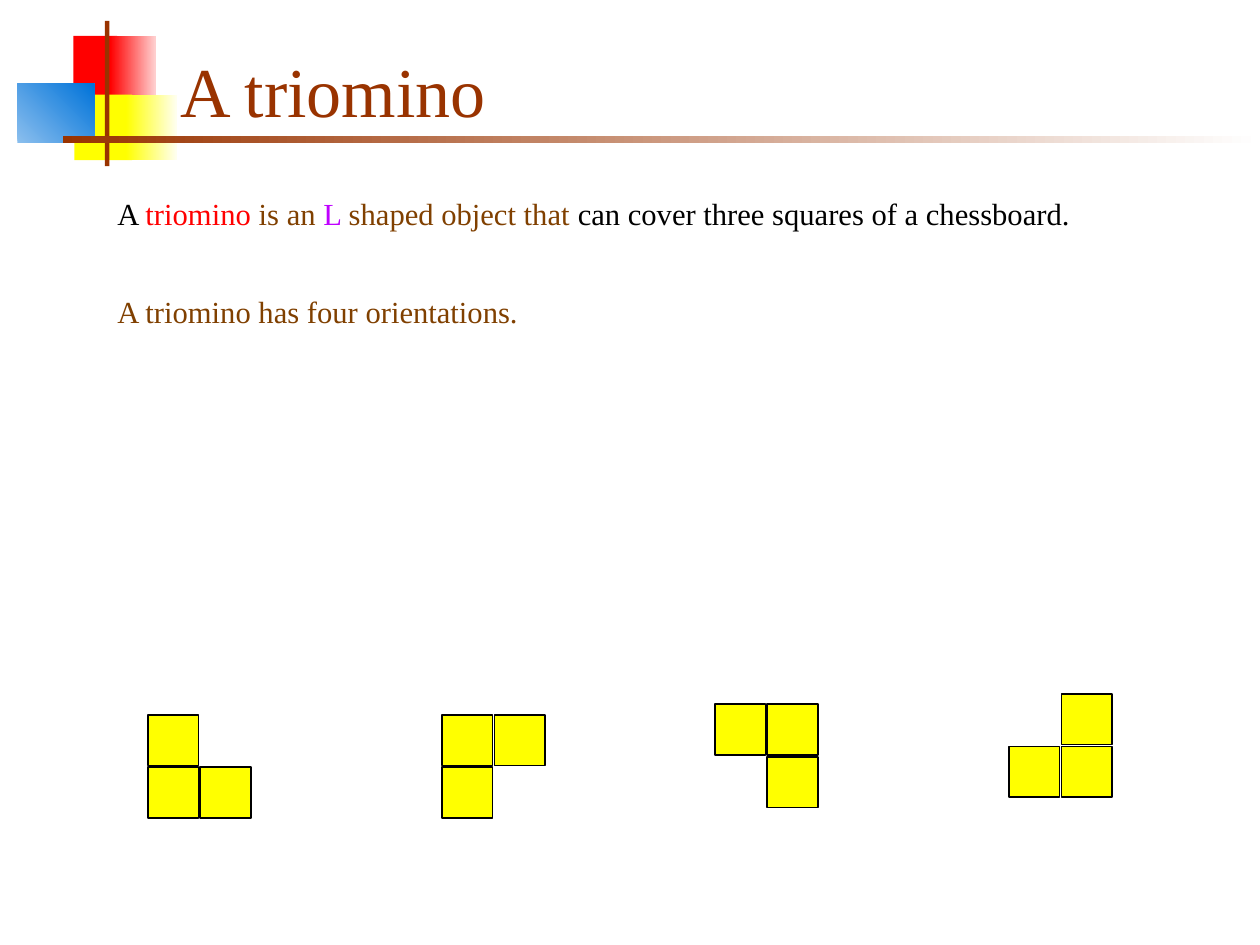
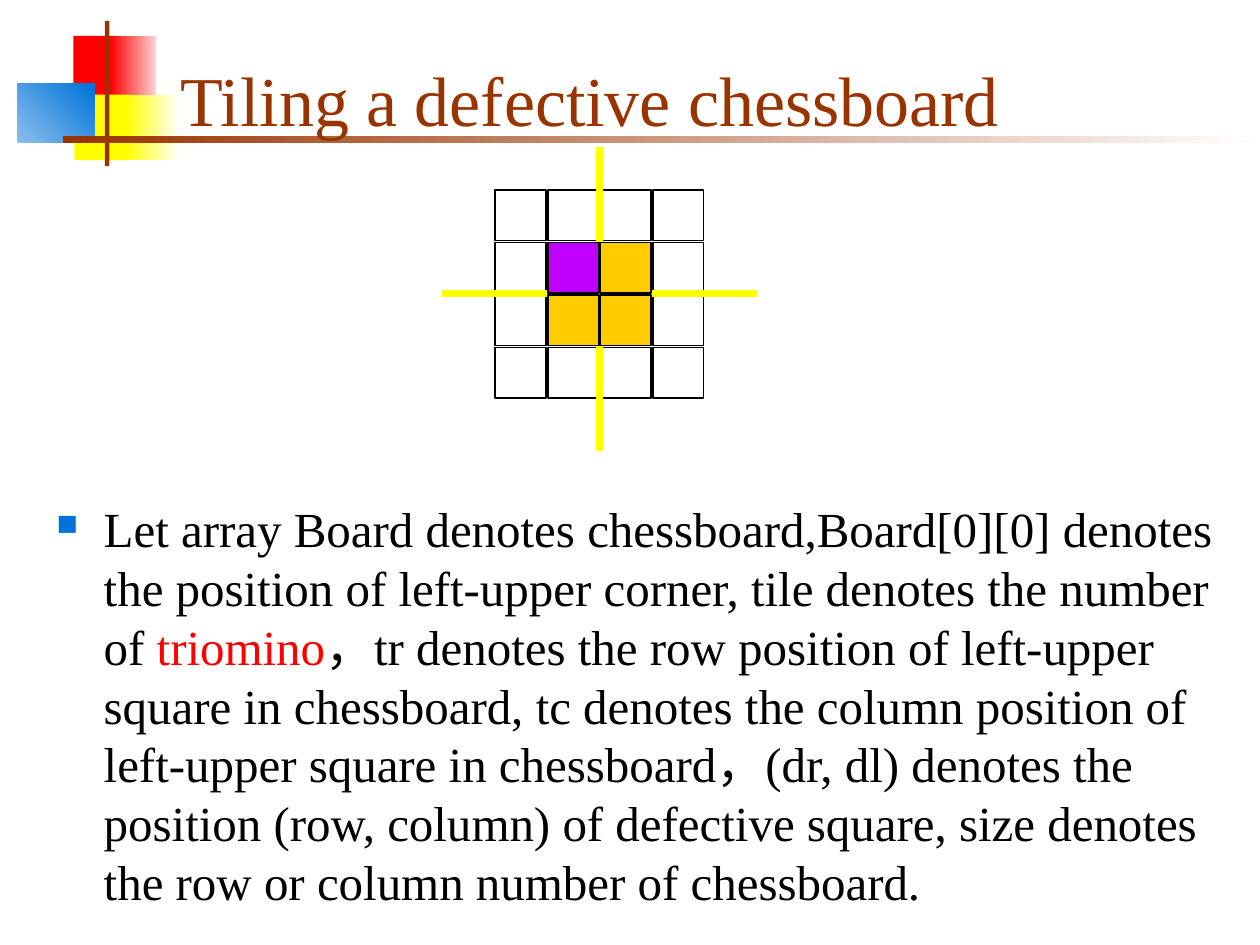
from lxml.etree import SubElement
from pptx import Presentation
from pptx.dml.color import RGBColor
from pptx.enum.shapes import MSO_CONNECTOR, MSO_SHAPE
from pptx.enum.text import MSO_ANCHOR, MSO_AUTO_SIZE, PP_ALIGN
from pptx.oxml.ns import qn
from pptx.util import Pt

FONT = "Times New Roman"
BLACK = RGBColor(0x00, 0x00, 0x00)
WHITE = RGBColor(0xFF, 0xFF, 0xFF)
RED = RGBColor(0xFF, 0x00, 0x00)
PALE_RED = RGBColor(0xFF, 0xD1, 0xD1)
YELLOW = RGBColor(0xFF, 0xFF, 0x00)
PALE_YELLOW = RGBColor(0xFF, 0xFF, 0xF0)
BLUE = RGBColor(0x00, 0x73, 0xD9)
PALE_BLUE = RGBColor(0x8B, 0xBF, 0xEE)
RUST = RGBColor(0x99, 0x33, 0x00)
BROWN = RGBColor(0x80, 0x40, 0x00)
PURPLE = RGBColor(0xBF, 0x00, 0xFF)
GOLD = RGBColor(0xFF, 0xCC, 0x00)

LINE_HEIGHT = 1.2  # line pitch as a multiple of the font size
SQUARE = 29
PITCH = 30


def add_rect(shapes, box, fill, fade_to=None, angle=0, outline=None):
    rect = shapes.add_shape(MSO_SHAPE.RECTANGLE, *map(Pt, box))
    rect.shadow.inherit = False
    if fade_to is None:
        rect.fill.solid()
        rect.fill.fore_color.rgb = fill
    else:
        rect.fill.gradient()
        rect.fill.gradient_angle = angle
        for stop, color in zip(rect.fill.gradient_stops, (fill, fade_to)):
            stop.color.rgb = color
    if outline is None:
        rect.line.fill.background()
    else:
        rect.line.color.rgb = outline
        rect.line.width = Pt(1)
    return rect


def add_line(shapes, start, end, color, width):
    line = shapes.add_connector(MSO_CONNECTOR.STRAIGHT, *map(Pt, start + end))
    line.line.color.rgb = color
    line.line.width = Pt(width)
    SubElement(line.element.spPr, qn("a:effectLst"))


def add_bullet(paragraph, color, indent, percent):
    properties = paragraph._p.get_or_add_pPr()
    properties.set("marL", str(Pt(indent)))
    properties.set("indent", str(-Pt(indent)))
    bullet_color = SubElement(properties, qn("a:buClr"))
    SubElement(bullet_color, qn("a:srgbClr"), val=str(color))
    SubElement(properties, qn("a:buSzPct"), val=str(percent * 1000))
    SubElement(properties, qn("a:buChar"), char="■")


def write(holder, box, paragraphs, size, anchor=MSO_ANCHOR.TOP, gap=0, bullet=None):
    """Place holder at box and fill it; a paragraph is a list of (text, color)."""
    holder.left, holder.top, holder.width, holder.height = map(Pt, box)
    frame = holder.text_frame
    frame.word_wrap = True
    frame.auto_size = MSO_AUTO_SIZE.NONE
    frame.vertical_anchor = anchor
    for index, runs in enumerate(paragraphs):
        paragraph = frame.add_paragraph() if index else frame.paragraphs[0]
        if bullet:
            add_bullet(paragraph, **bullet)
        paragraph.alignment = PP_ALIGN.LEFT
        paragraph.line_spacing = Pt(size * LINE_HEIGHT)
        paragraph.space_before = Pt(gap if index else 0)
        for text, color in runs:
            run = paragraph.add_run()
            run.text = text
            run.font.name = FONT
            run.font.size = Pt(size)
            run.font.color.rgb = color


def add_body(slide, box, paragraphs, size, **style):
    write(slide.shapes.add_textbox(0, 0, 0, 0), box, paragraphs, size, **style)


def add_title(slide, text, anchor):
    write(slide.shapes.title, (96, 18, 613.5, 66), [[(text, RUST)]], 40, anchor)


def decorate_layout(layout, slide):
    """Draw the corner blocks and bars, then hand them to the shared layout."""
    for box, *fill in (
        ((42, 20.5, 25, 37.5), RED),
        ((63, 20.5, 26, 37.5), RED, PALE_RED),
        ((42.5, 54, 33, 37.5), YELLOW),
        ((72, 54, 29, 37.5), YELLOW, PALE_YELLOW),
        ((10, 48, 44, 33.5), PALE_BLUE, BLUE, 45),
        ((60, 12, 2.5, 83), RUST),
        ((36, 78, 684, 3.75), RUST, WHITE),
    ):
        layout.shapes.element.append(add_rect(slide.shapes, box, *fill).element)


def add_squares(slide, left, top, colors):
    """Group unit squares; colors maps (row, column) to a fill."""
    group = slide.shapes.add_group_shape()
    for (row, column), color in colors.items():
        box = (left + column * PITCH, top + row * PITCH, SQUARE, SQUARE)
        add_rect(group.shapes, box, color, outline=BLACK)


def add_orientations(slide, left, top):
    corners = [(row, column) for row in range(2) for column in range(2)]
    for x, y, missing in (
        (0, 12, (0, 1)),
        (168, 12, (1, 1)),
        (324, 6, (1, 0)),
        (492, 0, (0, 0)),
    ):
        cells = {cell: YELLOW for cell in corners if cell != missing}
        add_squares(slide, left + x, top + y, cells)


def add_chessboard(slide, left, top):
    """Draw a 4 x 4 board split in quadrants, with a triomino at its centre."""
    inner = (1, 2)
    rim = {(row, column): WHITE for row in range(4) for column in range(4)
           if row not in inner or column not in inner}
    add_squares(slide, left, top, rim)
    x, y = left + 2 * PITCH - 0.5, top + 2 * PITCH - 0.5
    add_line(slide.shapes, (x, y - 84), (x, y + 90), YELLOW, 4)
    add_line(slide.shapes, (x - 90, y), (x + 90, y), YELLOW, 4)
    centre = {(row, column): GOLD for row in inner for column in inner}
    centre[1, 1] = PURPLE
    add_squares(slide, left, top, centre)


def fill_triomino_slide(slide):
    add_title(slide, "A triomino", MSO_ANCHOR.MIDDLE)
    add_body(slide, (60, 108, 612, 96), [
        [("A ", BLACK), ("triomino ", RED), ("is an", BROWN), (" L ", PURPLE),
         ("shaped object that ", BROWN),
         ("can cover three squares of a chessboard.", BLACK)],
        [("A triomino has four orientations.", BROWN)],
    ], 17.5, gap=35)
    add_orientations(slide, 84.5, 396.5)


def fill_tiling_slide(slide):
    add_chessboard(slide, 283, 108.5)
    add_title(slide, "Tiling a defective chessboard", MSO_ANCHOR.BOTTOM)
    add_body(slide, (25.2, 281.5, 676, 244), [[
        ("Let array Board denotes chessboard,Board[0][0] denotes the position of "
         "left-upper corner, tile denotes the number of ", BLACK),
        ("triomino", RED),
        ("，tr denotes the row position of left-upper square in chessboard, "
         "tc denotes the column position of left-upper square in chessboard，"
         "(dr, dl) denotes the position (row, column) of defective square, "
         "size denotes the row or column number of chessboard.", BLACK),
    ]], 28, bullet={"color": BLUE, "indent": 27, "percent": 60})


def main():
    deck = Presentation()
    deck.slide_width, deck.slide_height = Pt(720), Pt(540)
    title_only = deck.slide_layouts[5]
    triomino, tiling = (deck.slides.add_slide(title_only) for _ in range(2))
    decorate_layout(title_only, triomino)
    fill_triomino_slide(triomino)
    fill_tiling_slide(tiling)
    deck.save("out.pptx")


if __name__ == "__main__":
    main()
